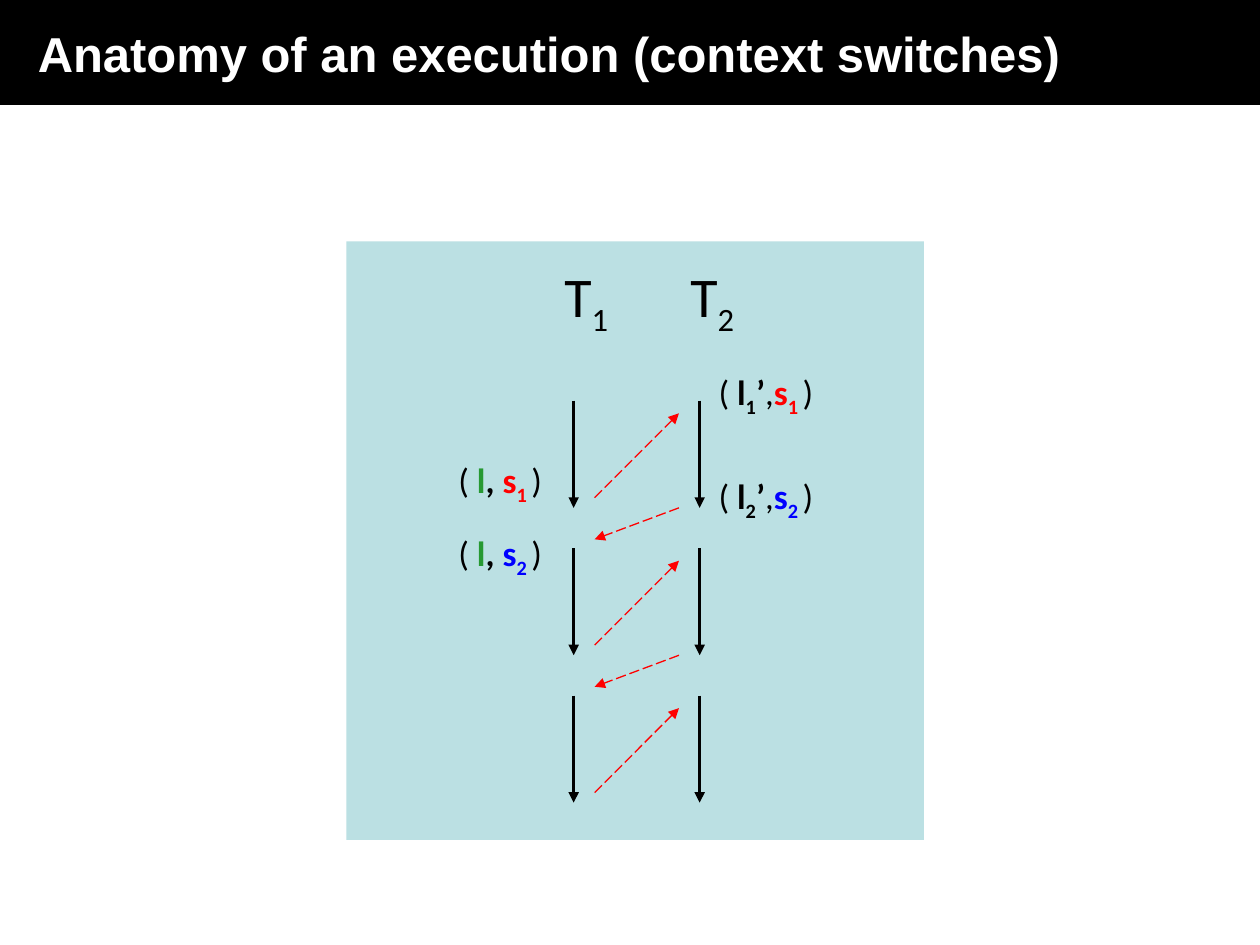
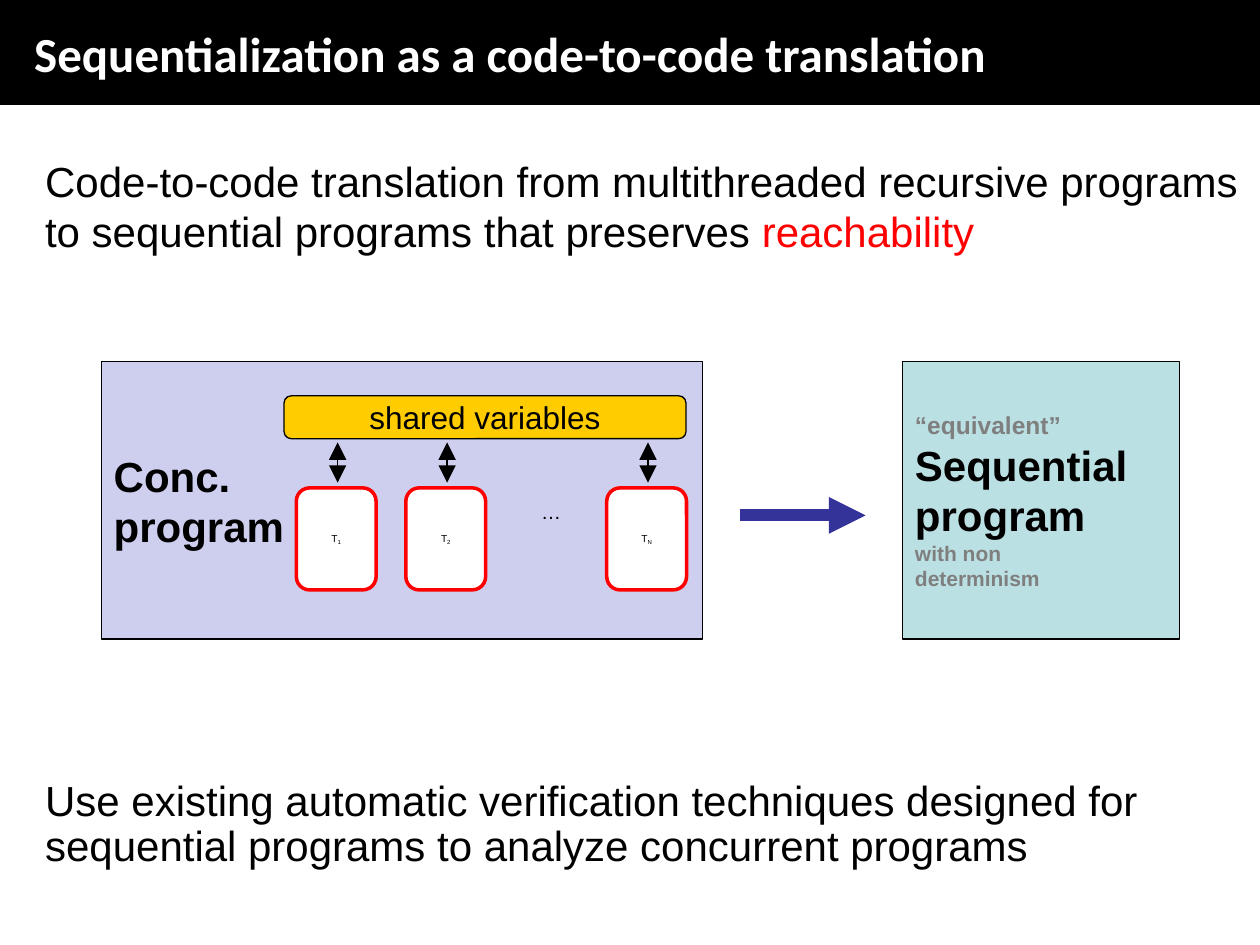
import pptx
import pptx.dml.color
import pptx.enum.dml
import pptx.enum.shapes
import pptx.enum.text
import pptx.oxml.ns
import pptx.util
from lxml import etree

Pt = pptx.util.Pt
RGBColor = pptx.dml.color.RGBColor
MSO_SHAPE = pptx.enum.shapes.MSO_SHAPE
ANCHOR = pptx.enum.text.MSO_ANCHOR
ALIGN = pptx.enum.text.PP_ALIGN
DASH = pptx.enum.dml.MSO_LINE
qn = pptx.oxml.ns.qn

BLACK = RGBColor(0x00, 0x00, 0x00)
WHITE = RGBColor(0xFF, 0xFF, 0xFF)
RED = RGBColor(0xFF, 0x00, 0x00)
BLUE = RGBColor(0x00, 0x00, 0xFF)
GREEN = RGBColor(0x26, 0x99, 0x32)
GREY = RGBColor(0x7F, 0x7F, 0x7F)
TEAL = RGBColor(0xBB, 0xE0, 0xE3)
LAVENDER = RGBColor(0xCE, 0xCE, 0xEF)
AMBER = RGBColor(0xFF, 0xCC, 0x00)
INDIGO = RGBColor(0x33, 0x33, 0x99)

SLIDE_W, SLIDE_H = 720, 540
BAND_H = 60
HAIRLINE, BOLD_LINE = 0.74, 2.01


def add_run(paragraph, text, size, color=BLACK, font="Arial", bold=False, sub=False):
    run = paragraph.add_run()
    run.text = text
    run.font.name = font
    run.font.size = Pt(size)
    run.font.bold = bold
    run.font.color.rgb = color
    if sub:
        run._r.get_or_add_rPr().set("baseline", "-25000")


def add_box(slide, kind, box, fill, line=None, width=HAIRLINE):
    shape = slide.shapes.add_shape(kind, *(Pt(v) for v in box))
    shape.shadow.inherit = False
    shape.fill.solid()
    shape.fill.fore_color.rgb = fill
    if line is None:
        shape.line.fill.background()
    else:
        shape.line.color.rgb = line
        shape.line.width = Pt(width)
    frame = shape.text_frame
    frame.word_wrap = True
    frame.vertical_anchor = ANCHOR.MIDDLE
    frame.paragraphs[0].alignment = ALIGN.LEFT
    return shape


def add_text(slide, box, wrap=True):
    frame = slide.shapes.add_textbox(*(Pt(v) for v in box)).text_frame
    frame.word_wrap = wrap
    return frame.paragraphs[0]


def add_arrow(slide, start, end, color=BLACK, width=HAIRLINE, dash=None,
              heads=("tailEnd",), head_size="med"):
    arrow = slide.shapes.add_connector(
        pptx.enum.shapes.MSO_CONNECTOR.STRAIGHT, *(Pt(v) for v in (*start, *end)))
    arrow.line.color.rgb = color
    arrow.line.width = Pt(width)
    if dash is not None:
        arrow.line.dash_style = dash
    outline = arrow.line._get_or_add_ln()
    for head in heads:
        etree.SubElement(outline, qn("a:" + head),
                         type="triangle", w=head_size, len=head_size)
    etree.SubElement(arrow._element.spPr, qn("a:effectLst"))


def add_title(slide, text, font, indent):
    band = add_box(slide, MSO_SHAPE.RECTANGLE, (0, 0, SLIDE_W, BAND_H), BLACK)
    band.text_frame.margin_left = Pt(indent)
    add_run(band.text_frame.paragraphs[0], text, 28, WHITE, font, bold=True)


# Slide 1: two threads, their steps and the switches between them
def add_state(slide, box, runs):
    """A state such as (l, s1); each run is text, colour, bold, subscript."""
    paragraph = add_text(slide, box, wrap=False)
    for text, color, bold, sub in runs:
        add_run(paragraph, text, 20, color, "Calibri", bold, sub)


def draw_execution(slide, left, top, width, height):
    add_box(slide, MSO_SHAPE.RECTANGLE, (left, top, width, height), TEAL)
    lanes = (left + 129.8, left + 201.8)
    first_step, step_length, pitch, rounds = top + 91, 61.2, 84.25, 3

    # Thread names and steps
    for number, lane in enumerate(lanes, 1):
        name = add_text(slide, (lane - 12.4, top + 8, 44, 51), wrap=False)
        add_run(name, "T", 32, font="Calibri")
        add_run(name, str(number), 32, font="Calibri", sub=True)
        for i in range(rounds):
            y = first_step + i * pitch
            add_arrow(slide, (lane, y), (lane, y + step_length), width=BOLD_LINE)

    # Context switches, there and back
    near, far = lanes[0] + 12, lanes[1] - 11.8
    for i in range(rounds):
        y = first_step + i * pitch
        add_arrow(slide, (near, y + 55.4), (far, y + 7.2), RED, dash=DASH.LONG_DASH)
        if i < rounds - 1:
            add_arrow(slide, (far, y + 61.2), (near, y + 79.2), RED,
                      dash=DASH.LONG_DASH)

    # States at the switches: the shared part s changes from s1 to s2
    for index, color, left_y, right_y in (("1", RED, 120.5, 70), ("2", BLUE, 162.2, 129.8)):
        shared = [("s", color, True, False), (index + " ", color, True, True),
                  (")", BLACK, False, False)]
        add_state(slide, (left + 56.9, top + left_y, 64, 34.6),
                  [("( ", BLACK, False, False), ("l", GREEN, True, False),
                   (", ", BLACK, True, False)] + shared)
        add_state(slide, (left + 205.5, top + right_y, 71, 34.6),
                  [("( ", BLACK, False, False), ("l", BLACK, True, False),
                   (index, BLACK, True, True), ("’", BLACK, True, False),
                   (",", BLACK, False, False)] + shared)


# Slide 2: concurrent program, sequential program, and the text around them
def add_lines(shape, lines):
    frame = shape.text_frame
    for i, (text, size, color) in enumerate(lines):
        paragraph = frame.add_paragraph() if i else frame.paragraphs[0]
        paragraph.alignment = ALIGN.LEFT
        add_run(paragraph, text, size, color, bold=True)


def draw_concurrent(slide, left, top, width, height):
    panel = add_box(slide, MSO_SHAPE.RECTANGLE, (left, top, width, height),
                    LAVENDER, BLACK)
    add_lines(panel, [("Conc.", 24, BLACK), ("program", 24, BLACK)])

    # Shared variables
    memory = add_box(slide, MSO_SHAPE.ROUNDED_RECTANGLE,
                     (left + 104.4, top + 19.4, 229.7, 24.5), AMBER, BLACK)
    paragraph = memory.text_frame.paragraphs[0]
    paragraph.alignment = ALIGN.CENTER
    add_run(paragraph, "shared variables", 18)

    # Threads, each joined to the shared variables
    thread_w, thread_h = 45.6, 58.3
    for index, x in (("1", 111.4), ("2", 174), ("N", 288.8)):
        thread = add_box(slide, MSO_SHAPE.ROUNDED_RECTANGLE,
                         (left + x, top + 72, thread_w, thread_h), WHITE, RED, BOLD_LINE)
        paragraph = thread.text_frame.paragraphs[0]
        paragraph.alignment = ALIGN.CENTER
        paragraph.line_spacing = 0.8
        add_run(paragraph, "T", 5.8)
        add_run(paragraph, index, 5.8, sub=True)
        middle = left + x + thread_w / 2 + 0.8
        add_arrow(slide, (middle, top + 69), (middle, top + 46),
                  heads=("headEnd", "tailEnd"), head_size="lg")

    dots = add_text(slide, (left + 225, top + 77.8, 64, 21))
    dots.alignment = ALIGN.CENTER
    dots.line_spacing = 0.8
    add_run(dots, "…", 11.4)


def draw_sequential(slide, left, top, width, height):
    panel = add_box(slide, MSO_SHAPE.RECTANGLE, (left, top, width, height), TEAL, BLACK)
    add_lines(panel, [("“equivalent”", 14, GREY), ("Sequential", 24, BLACK),
                      ("program", 24, BLACK), ("with non", 12, GREY),
                      ("determinism", 12, GREY)])


def draw_statement(slide, box, runs, before, spacing=None):
    paragraph = add_text(slide, box)
    paragraph.space_before = Pt(before)
    if spacing:
        paragraph.line_spacing = spacing
    for text, color in runs:
        add_run(paragraph, text, 24, color)


deck = pptx.Presentation()
deck.slide_width, deck.slide_height = Pt(SLIDE_W), Pt(SLIDE_H)
blank = deck.slide_layouts[6]

execution = deck.slides.add_slide(blank)
add_title(execution, "Anatomy of an execution (context switches)", "Arial", 21.6)
draw_execution(execution, 198, 138, 330, 342)

translation = deck.slides.add_slide(blank)
add_title(translation, "Sequentialization as a code-to-code translation", "Calibri", 19.6)
draw_statement(translation, (18.7, 85.2, 701.3, 110),
               [("Code-to-code translation from multithreaded recursive programs "
                 "to sequential programs that preserves ", BLACK),
                ("reachability", RED)], before=18)
draw_concurrent(translation, 57.9, 206.8, 343.4, 158.4)
add_arrow(translation, (422.6, 294.5), (494.6, 294.5), INDIGO, 7)
draw_sequential(translation, 515.8, 206.8, 158.4, 158.4)
draw_statement(translation, (18.7, 442, 701.3, 96),
               [("Use existing automatic verification techniques designed for "
                 "sequential programs to analyze concurrent programs", BLACK)],
               before=6, spacing=0.9)

deck.save("out.pptx")
